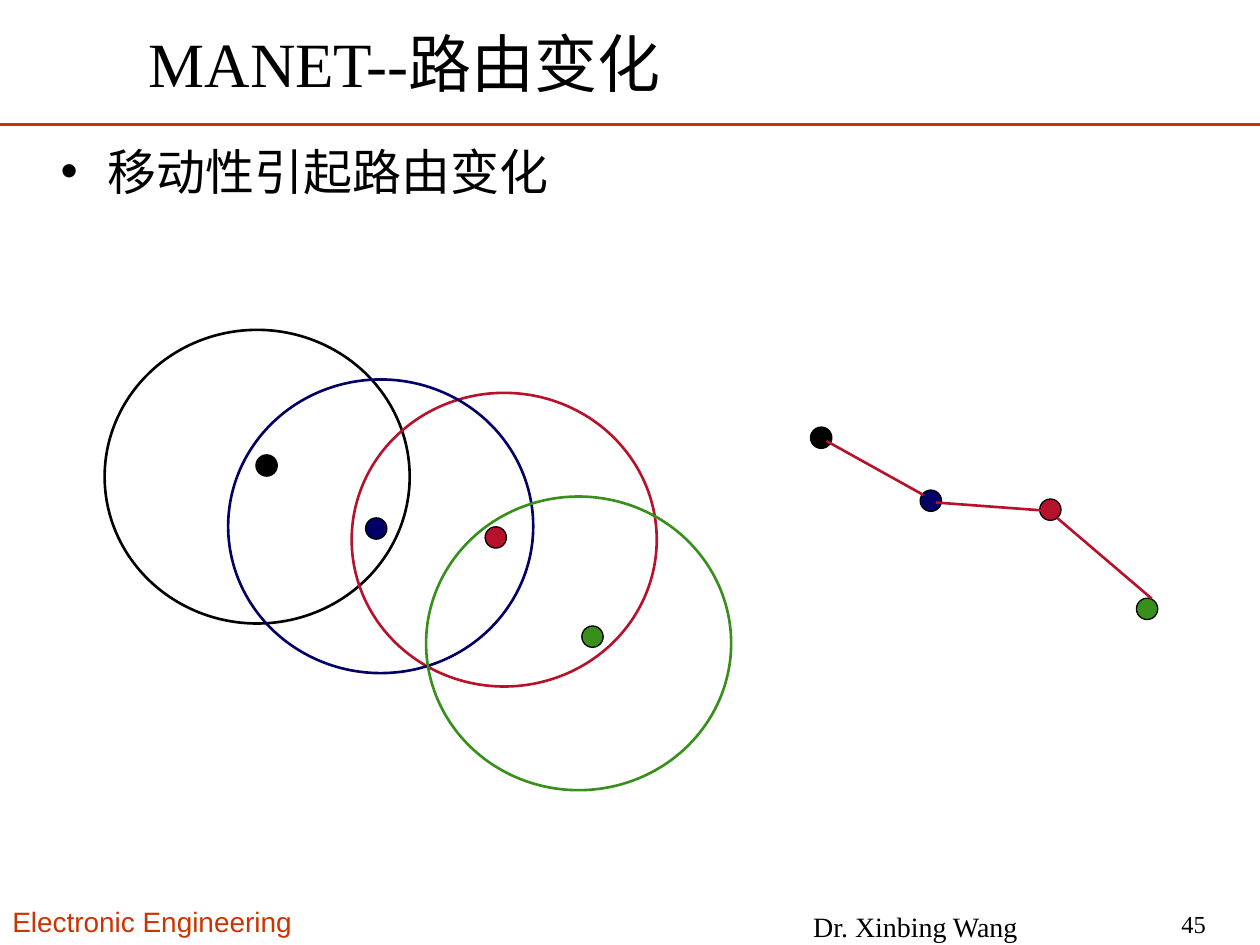
"""Build the slide on how mobility changes routes in a MANET."""
from lxml.etree import SubElement
from pptx import Presentation
from pptx.dml.color import RGBColor
from pptx.enum.shapes import MSO_CONNECTOR as Connector, MSO_SHAPE as Shape
from pptx.enum.text import MSO_ANCHOR as Anchor, MSO_AUTO_SIZE as AutoSize, PP_ALIGN as Align
from pptx.oxml.ns import qn
from pptx.util import Cm, Pt

COLORS = {"black": "000000", "white": "FFFFFF", "red": "B7122C",
          "blue": "000066", "green": "388F1B", "orange": "CC3300"}
SERIF = "Times New Roman"


def add_line(start, end, color):
    line = page.shapes.add_connector(Connector.STRAIGHT, *map(Cm, start + end))
    line.line.color.rgb = RGBColor.from_string(COLORS[color])
    line.line.width = Pt(1.5)
    SubElement(line._element.spPr, qn("a:effectLst"))


def add_ellipse(left, top, width, height, fill, outline, weight):
    ellipse = page.shapes.add_shape(Shape.OVAL, *map(Cm, (left, top, width, height)))
    ellipse.shadow.inherit = False
    if fill:
        ellipse.fill.solid()
        ellipse.fill.fore_color.rgb = RGBColor.from_string(COLORS[fill])
    else:
        ellipse.fill.background()
    ellipse.line.color.rgb = RGBColor.from_string(COLORS[outline])
    ellipse.line.width = Pt(weight)


deck = Presentation()
deck.slide_width, deck.slide_height = Cm(25.4), Cm(19.05)
page = deck.slides.add_slide(deck.slide_layouts[1])
title, body = page.placeholders
add_line((0, 2.51), (25.4, 2.51), "orange")
footer, author, number = [page.shapes.add_textbox(0, 0, 0, 0) for _ in range(3)]

texts = [
    (title, "MANET--路由变化", (2.74, 0.38, 16.84, 1.75), Anchor.MIDDLE, Align.LEFT,
     {"name": SERIF, "size": Pt(36)}, "black"),
    (body, "移动性引起路由变化", (0.97, 2.72, 22.94, 7.04), Anchor.TOP, Align.LEFT,
     {"name": SERIF, "size": Pt(28)}, "black"),
    (footer, "Electronic Engineering", (0, 18.11, 6.48, 0.94), Anchor.TOP, Align.LEFT,
     {"name": "Arial", "size": Pt(16)}, "orange"),
    (author, "Dr. Xinbing Wang", (15.37, 18.36, 6.17, 0.64), Anchor.MIDDLE, Align.CENTER,
     {"name": SERIF, "size": Pt(16)}, "black"),
    (number, "45", (22.45, 18.31, 2.11, 0.64), Anchor.MIDDLE, Align.RIGHT,
     {"name": SERIF, "size": Pt(14)}, "black"),
]
for box, text, place, anchor, align, font, color in texts:
    box.left, box.top, box.width, box.height = map(Cm, place)
    frame = box.text_frame
    frame.text = text
    frame.word_wrap = True
    frame.auto_size = AutoSize.NONE
    frame.vertical_anchor = anchor
    para = frame.paragraphs[0]
    para.alignment = align
    para.space_before = Pt(0)
    if box is body:
        properties = para._p.get_or_add_pPr()
        properties.set("marL", str(Cm(0.95)))
        properties.set("indent", str(Cm(-0.95)))
        SubElement(properties, qn("a:buChar")).set("char", "•")
    span = para.runs[0]
    for name, value in font.items():
        setattr(span.font, name, value)
    span.font.color.rgb = RGBColor.from_string(COLORS[color])

ranges = [("black", 2.11, 6.65, "white"), ("red", 7.09, 7.92, None),
          ("blue", 4.6, 7.65, None), ("green", 8.59, 10.01, None)]
for color, left, top, fill in ranges:
    add_ellipse(left, top, 6.15, 5.92, fill, color, 1.5)

nodes = {"black": (5.16, 9.17), "red": (9.78, 10.62),
         "blue": (7.37, 10.44), "green": (11.73, 12.62)}
for shift_x, shift_y in [(0, 0), (11.18, -0.56)]:
    for color, (left, top) in nodes.items():
        add_ellipse(left + shift_x, top + shift_y, 0.43, 0.43, color, "black", 0.75)

links = [((16.66, 8.89), (18.62, 9.98)), ((18.87, 10.13), (21.29, 10.31)),
         ((21.31, 10.44), (23.22, 12.07))]
for start, end in links:
    add_line(start, end, "red")

deck.save("out.pptx")
